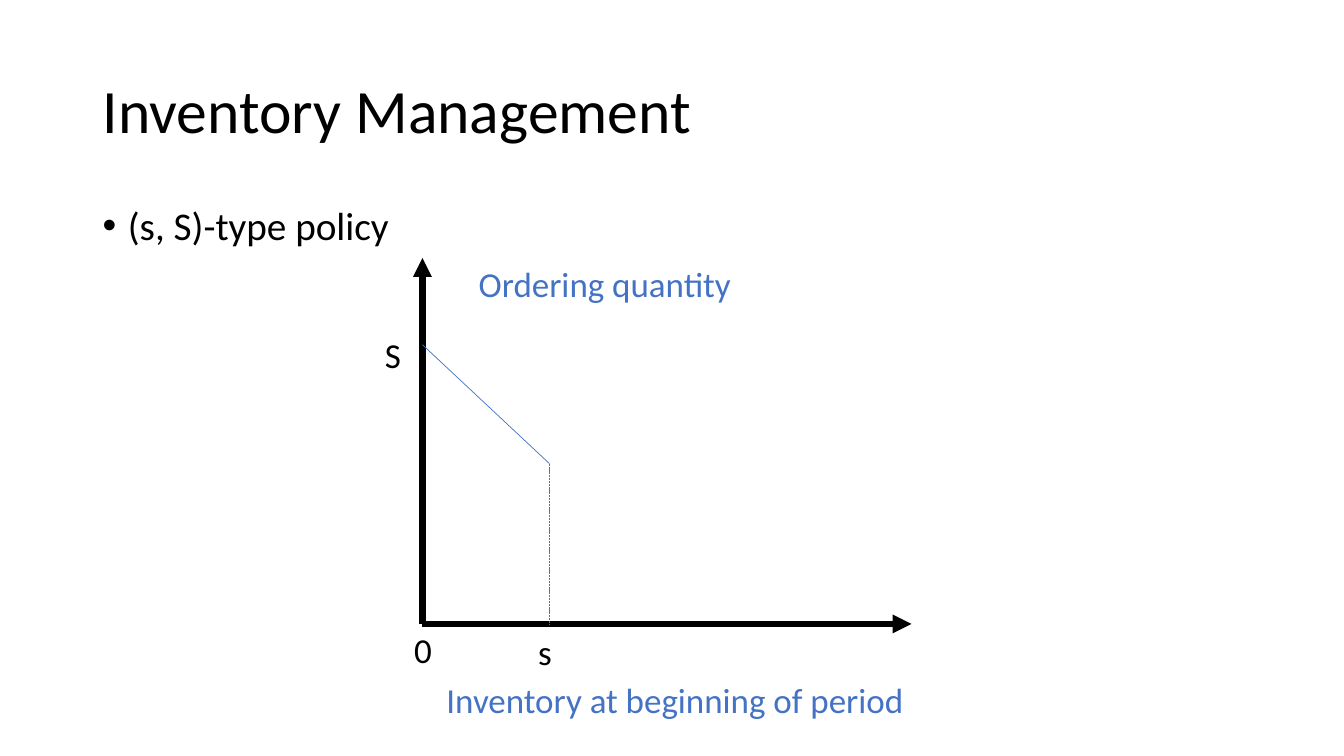
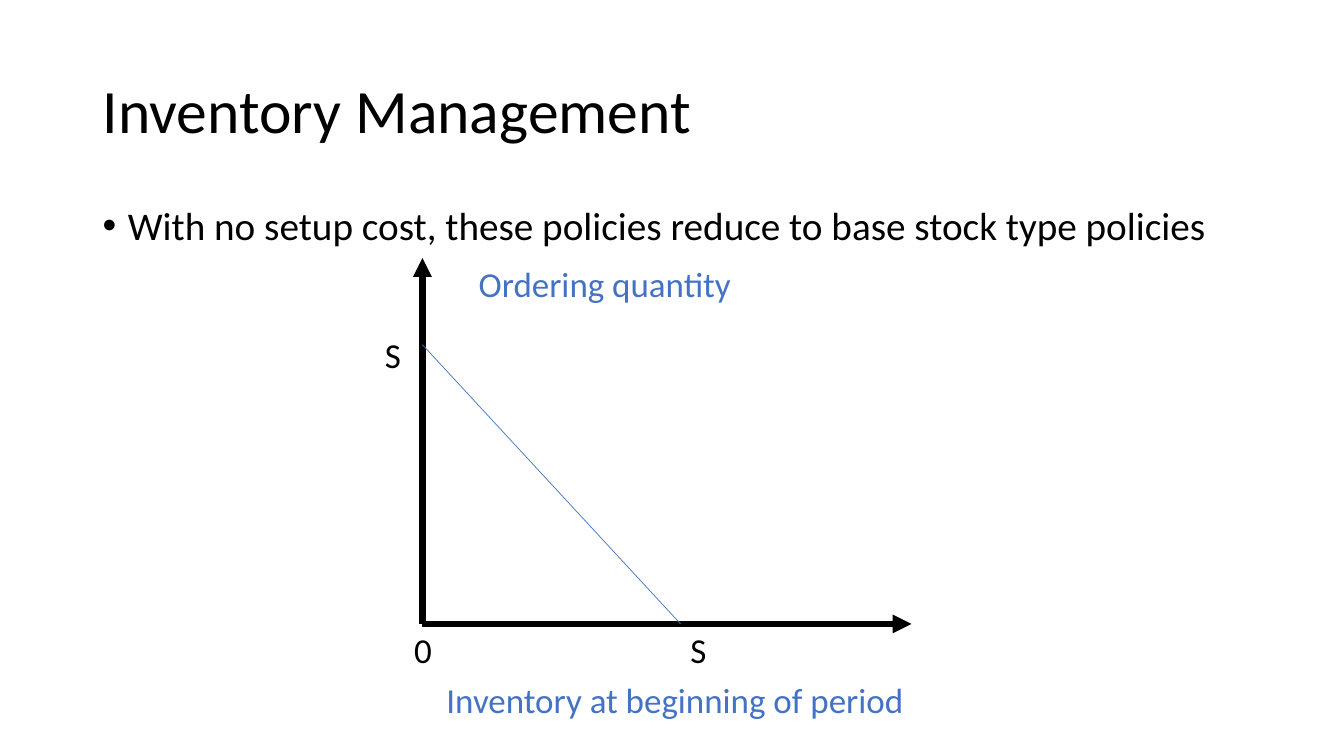
import pptx
import pptx.util
import pptx.dml.color
import pptx.enum.dml
import pptx.enum.shapes
import pptx.enum.text
import pptx.oxml
import pptx.oxml.ns

Inches = pptx.util.Inches
Pt = pptx.util.Pt
RGBColor = pptx.dml.color.RGBColor

BLACK = RGBColor(0x00, 0x00, 0x00)
BLUE = RGBColor(0x44, 0x72, 0xC4)
FONT = "Calibri"
TITLE_ONLY = 5

TITLE_BOX = (0.92, 0.4, 11.5, 1.45)
BULLET_BOX = (0.92, 2, 11.5, 4.76)
PLOT_BOX = (4.19, 2.56, 4.85, 3.63)
LABEL_HEIGHT = 0.52
TICK_WIDTH = 0.57
CURVE_START = (0, 0.86)


def add_xml(parent, tag, **attributes):
    child = pptx.oxml.parse_xml(f"<a:{tag} {pptx.oxml.ns.nsdecls('a')}/>")
    for key, value in attributes.items():
        child.set(key, value)
    parent.append(child)


def format_text(frame, size, color):
    frame.word_wrap = True
    for paragraph in frame.paragraphs:
        paragraph.alignment = pptx.enum.text.PP_ALIGN.LEFT
        for run in paragraph.runs:
            run.font.name = FONT
            run.font.size = Pt(size)
            run.font.color.rgb = color


def add_text(slide, box, text, size=25, color=BLACK):
    frame = slide.shapes.add_textbox(*map(Inches, box)).text_frame
    frame.text = text
    format_text(frame, size, color)
    return frame


def add_line(slide, start, end, color, width, arrow=False, dash=None):
    line = slide.shapes.add_connector(
        pptx.enum.shapes.MSO_CONNECTOR.STRAIGHT, *map(Inches, (*start, *end)))
    line.line.color.rgb = color
    line.line.width = Pt(width)
    if dash is not None:
        line.line.dash_style = dash
    if arrow:
        add_xml(line.line._get_or_add_ln(), "tailEnd", type="triangle")
    add_xml(line._element.spPr, "effectLst")


def add_title(slide, text):
    title = slide.shapes.title
    title.left, title.top, title.width, title.height = map(Inches, TITLE_BOX)
    frame = title.text_frame
    frame.text = text
    frame.vertical_anchor = pptx.enum.text.MSO_ANCHOR.MIDDLE
    frame.paragraphs[0].line_spacing = 0.9
    format_text(frame, 44, BLACK)


def add_bullet(slide, text):
    paragraph = add_text(slide, BULLET_BOX, text, 28).paragraphs[0]
    paragraph.line_spacing = 0.9
    paragraph.space_before = Pt(10)
    properties = paragraph._p.get_or_add_pPr()
    properties.set("marL", str(Inches(0.25)))
    properties.set("indent", str(-Inches(0.25)))
    add_xml(properties, "buFont", typeface="Arial")
    add_xml(properties, "buChar", char="•")


def add_policy_plot(slide, box, curve_end, threshold, threshold_offset):
    """Draw the ordering rule; points and offsets are measured from the box's corner."""
    left, top, width, height = box

    def at(x, y):
        return left + x, top + y

    origin = at(0, height)
    for axis_end in (at(0, 0), at(width, height)):
        add_line(slide, origin, axis_end, BLACK, 4.5, arrow=True)

    for name, x, y in (("Ordering quantity", 0.46, -0.01),
                       ("Inventory at beginning of period", 0.14, height + 0.49)):
        add_text(slide, (*at(x, y), 5.13, LABEL_HEIGHT), name, color=BLUE)

    add_line(slide, at(*CURVE_START), at(*curve_end), BLUE, 0.5)
    end_x, end_y = curve_end
    if end_y < height:
        add_line(slide, at(*curve_end), at(end_x, height), BLUE, 0.5,
                 dash=pptx.enum.dml.MSO_LINE.SQUARE_DOT)

    threshold_x, threshold_y = threshold_offset
    for tick, x, y in (("0", -0.18, height),
                       (threshold, end_x + threshold_x, height + threshold_y),
                       ("S", -0.47, 0.7)):
        add_text(slide, (*at(x, y), TICK_WIDTH, LABEL_HEIGHT), tick)


def add_policy_slide(deck, bullet, **policy):
    slide = deck.slides.add_slide(deck.slide_layouts[TITLE_ONLY])
    add_title(slide, "Inventory Management")
    add_bullet(slide, bullet)
    add_policy_plot(slide, PLOT_BOX, **policy)


def main():
    deck = pptx.Presentation()
    deck.slide_width = Inches(13.33)
    deck.slide_height = Inches(7.5)
    add_policy_slide(deck, "(s, S)-type policy",
                     curve_end=(1.26, 2.04), threshold="s",
                     threshold_offset=(-0.21, 0.02))
    add_policy_slide(deck, "With no setup cost, these policies reduce to base stock type policies",
                     curve_end=(2.56, 3.63), threshold="S",
                     threshold_offset=(0, 0))
    deck.save("out.pptx")


if __name__ == "__main__":
    main()
